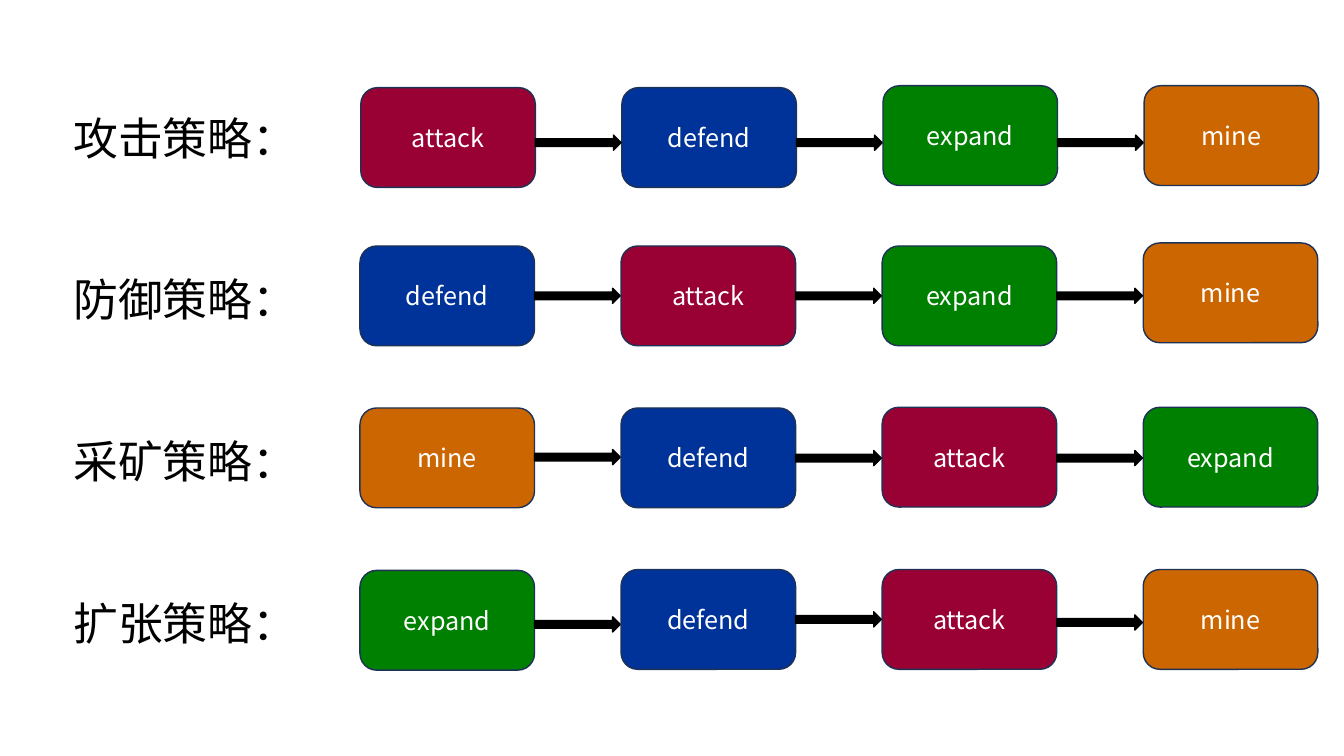
from dataclasses import dataclass

from lxml.etree import SubElement
from pptx import Presentation
from pptx.dml.color import RGBColor as Color
from pptx.enum.shapes import MSO_SHAPE as Preset
from pptx.enum.text import MSO_ANCHOR as Anchor, PP_ALIGN as Align
from pptx.oxml.ns import qn
from pptx.util import Pt


@dataclass(frozen=True)
class Theme:
    font: str = "Noto Sans CJK SC"
    label_size: int = 32
    action_size: int = 18
    ink: str = "000000"
    paper: str = "FFFFFF"
    outline: str = "1E3256"


@dataclass(frozen=True)
class Box:
    left: float
    top: float
    width: float
    height: float

    def lengths(self):
        return Pt(self.left), Pt(self.top), Pt(self.width), Pt(self.height)


@dataclass(frozen=True)
class Strategy:
    label: str
    actions: tuple
    left: float
    card_tops: tuple
    arrow_tops: tuple


THEME = Theme()
ACTION_COLORS = {
    "attack": "990033",
    "defend": "003399",
    "expand": "008000",
    "mine": "CC6600",
}
STRATEGIES = (
    Strategy("攻击策略：", ("attack", "defend", "expand", "mine"), 257.7,
             (62.6, 62.6, 61.2, 61.2), (96.5, 96.5, 96.5)),
    Strategy("防御策略：", ("defend", "attack", "expand", "mine"), 257.1,
             (175.7, 175.7, 175.7, 173.5), (205.9, 205.9, 205.9)),
    Strategy("采矿策略：", ("mine", "defend", "attack", "expand"), 257.1,
             (291.4, 291.4, 290.9, 290.9), (321.1, 321.8, 321.8)),
    Strategy("扩张策略：", ("expand", "defend", "attack", "mine"), 257.1,
             (407.4, 406.8, 406.8, 406.8), (440.6, 437, 439.2)),
)
CARD_WIDTH, CARD_HEIGHT = 124.7, 71.3
CARD_PITCH = 186.5
ARROW_WIDTH, ARROW_HEIGHT = 61.2, 10.8
LABEL_LINE, LABEL_GAP = 41, 74.5


def add_span(para, text, size, color):
    para.alignment = Align.CENTER
    span = para.add_run()
    span.text = text
    span.font.size = Pt(size)
    span.font.name = THEME.font
    span.font.color.rgb = Color.from_string(color)
    SubElement(span.font._element, qn("a:ea")).set("typeface", THEME.font)


def add_block(page, preset, box, fill, line):
    block = page.shapes.add_shape(preset, *box.lengths())
    block.shadow.inherit = False
    block.fill.solid()
    block.fill.fore_color.rgb = Color.from_string(fill)
    block.line.color.rgb = Color.from_string(line)
    block.line.width = Pt(1)
    return block


def add_card(page, box, action):
    card = add_block(page, Preset.ROUNDED_RECTANGLE, box,
                     ACTION_COLORS[action], THEME.outline)
    frame = card.text_frame
    frame.vertical_anchor = Anchor.MIDDLE
    add_span(frame.paragraphs[0], action, THEME.action_size, THEME.paper)


def add_chain(page, strategy):
    for step, (action, top) in enumerate(zip(strategy.actions, strategy.card_tops)):
        left = strategy.left + step * CARD_PITCH
        add_card(page, Box(left, top, CARD_WIDTH, CARD_HEIGHT), action)
    for step, top in enumerate(strategy.arrow_tops):
        left = strategy.left + step * CARD_PITCH + CARD_WIDTH
        box = Box(left, top, ARROW_WIDTH, ARROW_HEIGHT)
        add_block(page, Preset.RIGHT_ARROW, box, THEME.ink, THEME.ink)


def add_labels(page, box, labels):
    frame = page.shapes.add_textbox(*box.lengths()).text_frame
    frame.word_wrap = True
    for index, label in enumerate(labels):
        para = frame.add_paragraph() if index else frame.paragraphs[0]
        para.line_spacing = Pt(LABEL_LINE)
        para.space_before = Pt(LABEL_GAP if index else 0)
        add_span(para, label, THEME.label_size, THEME.ink)


def build_strategy_page(deck):
    page = deck.slides.add_slide(deck.slide_layouts[6])
    for strategy in STRATEGIES:
        add_chain(page, strategy)
    add_labels(page, Box(35.3, 72.7, 194.4, 395.3),
               [strategy.label for strategy in STRATEGIES])


deck = Presentation()
deck.slide_width, deck.slide_height = Pt(960), Pt(540)
build_strategy_page(deck)
deck.save("out.pptx")
